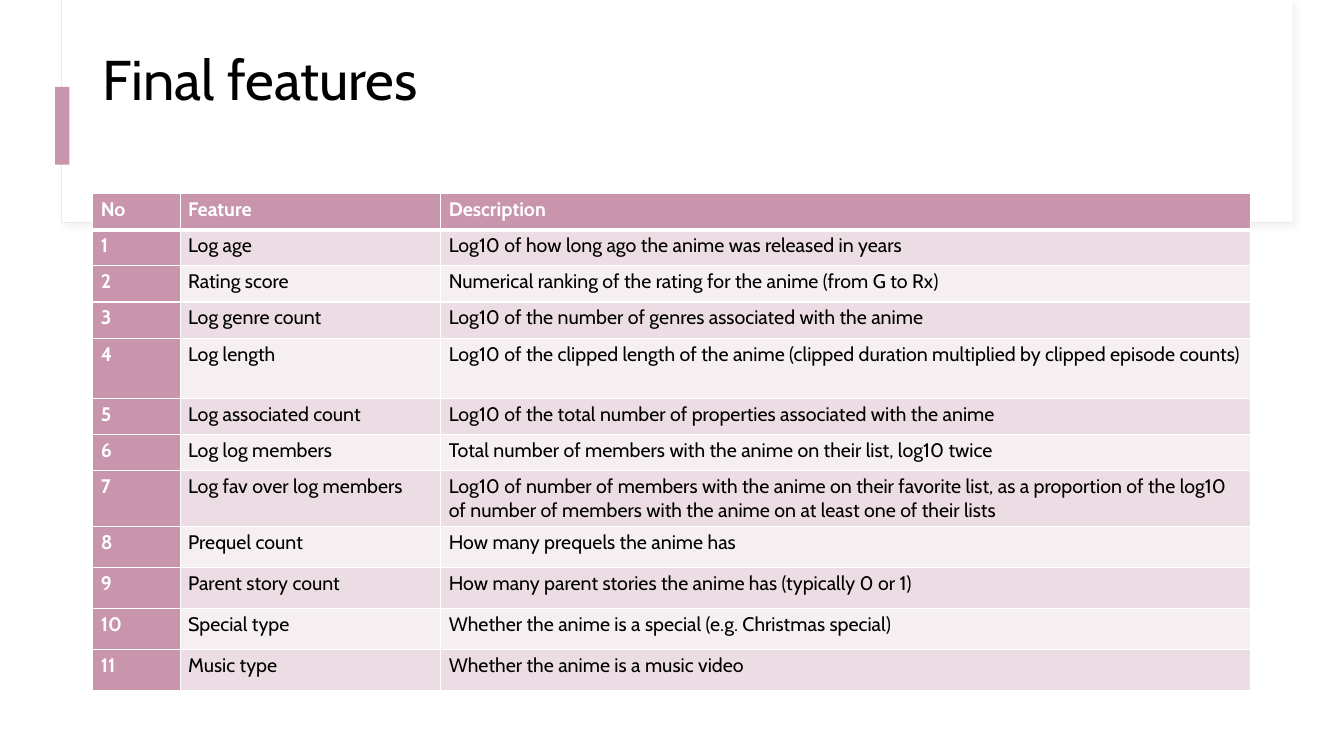
from lxml import etree
from pptx import Presentation
from pptx.dml.color import RGBColor
from pptx.enum.shapes import MSO_SHAPE
from pptx.enum.text import MSO_ANCHOR, MSO_AUTO_SIZE, PP_ALIGN
from pptx.oxml import parse_xml
from pptx.oxml.ns import nsdecls
from pptx.util import Cm, Pt

RECTANGLE = MSO_SHAPE.RECTANGLE
TOP, MIDDLE = MSO_ANCHOR.TOP, MSO_ANCHOR.MIDDLE
NO_AUTOFIT = MSO_AUTO_SIZE.NONE
LEFT = PP_ALIGN.LEFT
TITLE_ONLY = 5

COLUMN_WIDTHS = [2.2, 6.57, 20.41]
ROW_HEIGHT = 0.91
TALL_ROWS = {4: 1.52, 7: 1.41, 8: 1.03, 9: 1.03, 10: 1.03, 11: 1.03}
HEADINGS = ("No", "Feature", "Description")
FEATURES = [
    ("Log age", "Log10 of how long ago the anime was released in years"),
    ("Rating score", "Numerical ranking of the rating for the anime (from G to Rx)"),
    ("Log genre count", "Log10 of the number of genres associated with the anime"),
    ("Log length", "Log10 of the clipped length of the anime "
                   "(clipped duration multiplied by clipped episode counts)"),
    ("Log associated count", "Log10 of the total number of properties associated with the anime"),
    ("Log log members", "Total number of members with the anime on their list, log10 twice"),
    ("Log fav over log members",
     "Log10 of number of members with the anime on their favorite list, as a proportion "
     "of the log10 of number of members with the anime on at least one of their lists"),
    ("Prequel count", "How many prequels the anime has"),
    ("Parent story count", "How many parent stories the anime has (typically 0 or 1)"),
    ("Special type", "Whether the anime is a special (e.g. Christmas special)"),
    ("Music type", "Whether the anime is a music video"),
]


def color(value):
    return RGBColor.from_string(value)


def apply_format(target, values):
    for name, value in values.items():
        setattr(target, name, value)


class FeaturePage:
    font = "Cabin"
    rose, white, black = "C895AC", "FFFFFF", "000000"
    bands = ("F5EFF1", "EBDDE3")
    cell_format = {
        "margin_left": Cm(0.2), "margin_right": Cm(0.19),
        "margin_top": Cm(0.1), "margin_bottom": Cm(0.1), "vertical_anchor": TOP,
    }

    def __init__(self, deck):
        self.page = deck.slides.add_slide(deck.slide_layouts[TITLE_ONLY])

    def style_text(self, paragraph, size, text_color, bold=False):
        paragraph.alignment = LEFT
        apply_format(paragraph.font, {"name": self.font, "size": Pt(size), "bold": bold})
        paragraph.font.color.rgb = color(text_color)

    def rectangle(self, left, top, width, height, fill, line=None):
        box = self.page.shapes.add_shape(RECTANGLE, Cm(left), Cm(top), Cm(width), Cm(height))
        box.shadow.inherit = False
        box.fill.solid()
        box.fill.fore_color.rgb = color(fill)
        if line:
            box.line.color.rgb = color(line)
            box.line.width = Pt(0.75)
        else:
            box.line.fill.background()
        return box

    def soft_shadow(self, box):
        effects = box.element.spPr.find("{*}effectLst")
        effects.append(parse_xml(
            f'<a:outerShdw {nsdecls("a")} blurRad="{Pt(4)}" dist="{Pt(3)}" dir="2700000">'
            '<a:srgbClr val="D9D9D9"><a:alpha val="30000"/></a:srgbClr></a:outerShdw>'))

    def title(self, text, left, top, width, height):
        box = self.page.shapes.title
        apply_format(box, {"left": Cm(left), "top": Cm(top),
                           "width": Cm(width), "height": Cm(height)})
        apply_format(box.text_frame, {"text": text, "word_wrap": True,
                                      "auto_size": NO_AUTOFIT, "vertical_anchor": MIDDLE})
        paragraph = box.text_frame.paragraphs[0]
        paragraph.line_spacing = 0.9
        self.style_text(paragraph, 40, self.black)
        # Bring the title in front of the frame
        box.element.getparent().append(box.element)

    def cell_borders(self, cell, widths):
        properties = cell._tc.get_or_add_tcPr()
        for side, width in widths.items():
            line = etree.SubElement(properties, f"{{{properties.nsmap['a']}}}ln{side}",
                                    w=str(Pt(width)))
            line.append(parse_xml(f'<a:solidFill {nsdecls("a")}>'
                                  f'<a:srgbClr val="{self.white}"/></a:solidFill>'))

    def table(self, rows, left, top):
        heights = [TALL_ROWS.get(index, ROW_HEIGHT) for index in range(len(rows))]
        grid = self.page.shapes.add_table(
            len(rows), len(COLUMN_WIDTHS), Cm(left), Cm(top),
            Cm(sum(COLUMN_WIDTHS)), Cm(sum(heights))).table
        for column, width in zip(grid.columns, COLUMN_WIDTHS):
            column.width = Cm(width)
        for row_index, (row, height, values) in enumerate(zip(grid.rows, heights, rows)):
            row.height = Cm(height)
            for column_index, (cell, text) in enumerate(zip(row.cells, values)):
                heading = row_index == 0 or column_index == 0
                apply_format(cell, {"text": text, **self.cell_format})
                self.style_text(cell.text_frame.paragraphs[0], 14,
                                self.white if heading else self.black, heading)
                self.cell_borders(cell, {"L": 1, "R": 1,
                                         "T": 3 if row_index == 1 else 1,
                                         "B": 3 if row_index == 0 else 1})
                cell.fill.solid()
                cell.fill.fore_color.rgb = color(
                    self.rose if heading else self.bands[row_index % 2])


def main():
    deck = Presentation()
    deck.slide_width, deck.slide_height = Cm(33.87), Cm(19.05)
    sheet = FeaturePage(deck)

    # Title frame and accent bar
    frame = sheet.rectangle(1.55, 0, 31.01, 5.61, sheet.white, "F0E8E5")
    sheet.soft_shadow(frame)
    sheet.rectangle(1.57, 0, 30.99, 5.59, sheet.white)
    sheet.rectangle(1.39, 2.19, 0.36, 1.96, sheet.rose)

    # Title
    sheet.title("Final features", 2.34, 0.69, 29.18, 2.79)

    # Numbered feature table
    numbered = [(str(number), *feature) for number, feature in enumerate(FEATURES, 1)]
    sheet.table([HEADINGS, *numbered], 2.34, 4.88)

    deck.save("out.pptx")


if __name__ == "__main__":
    main()
